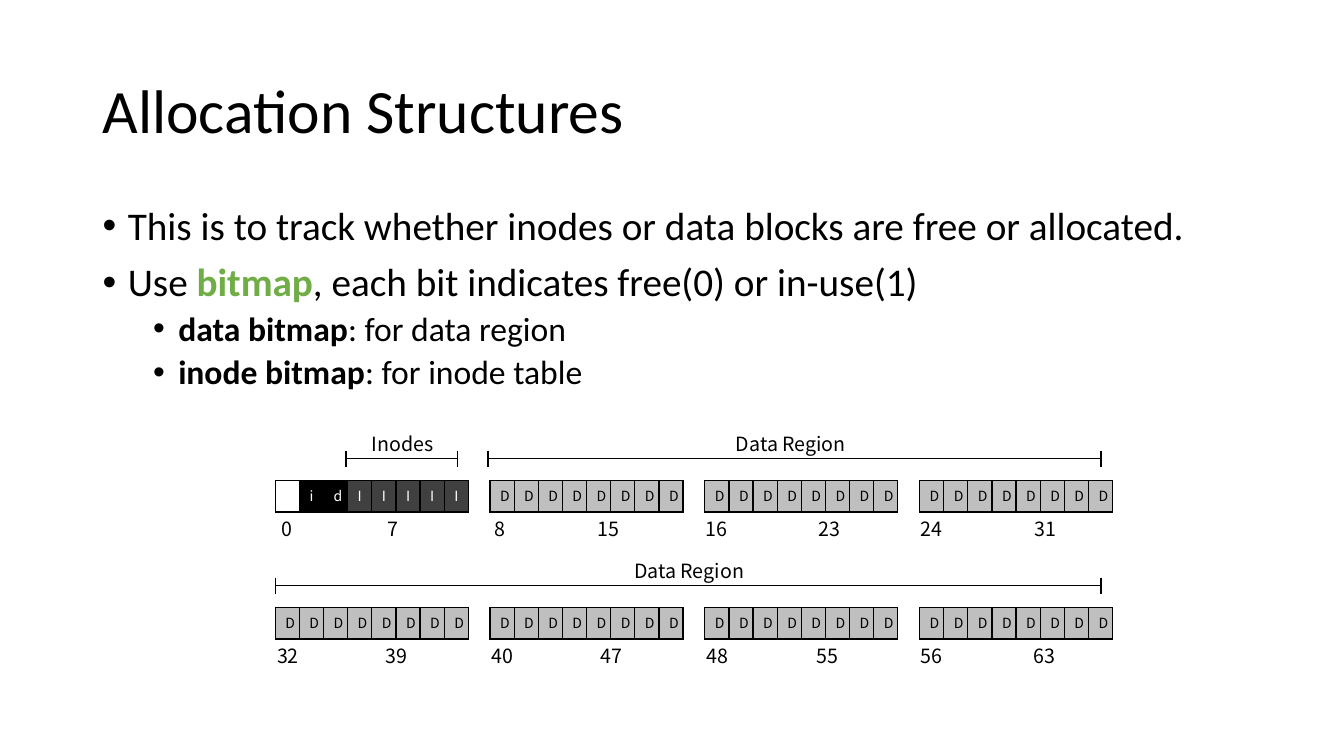
from dataclasses import dataclass

from lxml import etree
from pptx import Presentation
from pptx.dml.color import RGBColor
from pptx.enum.shapes import MSO_CONNECTOR
from pptx.enum.text import MSO_ANCHOR, MSO_AUTO_SIZE, PP_ALIGN
from pptx.oxml.ns import qn
from pptx.slide import Slide
from pptx.table import _Cell
from pptx.text.text import _Paragraph, _Run
from pptx.util import Inches, Pt

BLACK = RGBColor(0x00, 0x00, 0x00)
WHITE = RGBColor(0xFF, 0xFF, 0xFF)
GREEN = RGBColor(0x70, 0xAD, 0x47)
DARK_GRAY = RGBColor(0x40, 0x40, 0x40)
LIGHT_GRAY = RGBColor(0xBF, 0xBF, 0xBF)
STRAIGHT = MSO_CONNECTOR.STRAIGHT
MIDDLE = MSO_ANCHOR.MIDDLE
FIT_TEXT = MSO_AUTO_SIZE.SHAPE_TO_FIT_TEXT
CENTER = PP_ALIGN.CENTER
TEXT_FONT = "Calibri"
DIAGRAM_FONT = "Noto Sans CJK KR"

GROUP_LEFT, GROUP_STEP = 2.73, 2.13
ROW_TOPS = (4.77, 6.03)
GROUPS_PER_ROW = 4
BLOCK_WIDTH, BLOCK_HEIGHT = 0.23, 0.31
TICK_REACH = 0.08
CAPTION_HEIGHT = 0.34
BLOCK_STYLES = {
    " ": (WHITE, BLACK),
    "i": (BLACK, WHITE),
    "d": (BLACK, WHITE),
    "I": (DARK_GRAY, WHITE),
    "D": (LIGHT_GRAY, BLACK),
}
BLOCK_GROUPS = [" idIIIII"] + ["DDDDDDDD"] * 7


@dataclass
class Bullet:
    phrases: list[tuple[str, bool, RGBColor]]
    size: int
    indent: float
    space: int


@dataclass
class RangeLabel:
    left: float
    width: float
    tab: float


@dataclass
class Region:
    name: str
    left: float
    right: float
    top: float
    caption_left: float
    caption_width: float


BULLETS = [
    Bullet([("This is to track whether inodes or data blocks are free or allocated.", False, BLACK)],
           28, 0.25, 10),
    Bullet([("Use ", False, BLACK), ("bitmap", True, GREEN),
            (", each bit indicates free(0) or in-use(1)", False, BLACK)], 28, 0.25, 10),
    Bullet([("data bitmap", True, BLACK), (": for data region", False, BLACK)], 24, 0.75, 5),
    Bullet([("inode bitmap", True, BLACK), (": for inode table", False, BLACK)], 24, 0.75, 5),
]
RANGE_LABELS = [
    RangeLabel(2.69, 1.97, 1.06),
    RangeLabel(4.81, 1.97, 1.02),
    RangeLabel(6.9, 2.06, 1.12),
    RangeLabel(9.03, 2.07, 1.13),
    RangeLabel(2.65, 2.03, 1.08),
    RangeLabel(4.78, 1.99, 1.08),
    RangeLabel(6.91, 2.06, 1.09),
    RangeLabel(9.03, 2.07, 1.12),
]
REGIONS = [
    Region("Inodes", 3.43, 4.54, 4.55, 3.59, 0.84),
    Region("Data Region", 4.84, 10.92, 4.55, 7.2, 1.36),
    Region("Data Region", 2.73, 10.92, 5.81, 6.19, 1.36),
]


def style_run(span: _Run, font: str, size: int, color: RGBColor, bold: bool = False) -> None:
    span.font.name = font
    span.font.size = Pt(size)
    span.font.color.rgb = color
    span.font.bold = bold


def add_title(page: Slide) -> None:
    box = page.shapes.add_textbox(Inches(0.92), Inches(0.4), Inches(11.5), Inches(1.45))
    frame = box.text_frame
    frame.word_wrap = True
    frame.vertical_anchor = MIDDLE
    frame.text = "Allocation Structures"
    para = frame.paragraphs[0]
    para.line_spacing = 0.9
    style_run(para.runs[0], TEXT_FONT, 44, BLACK)


def fill_bullet(para: _Paragraph, bullet: Bullet) -> None:
    para.line_spacing = 0.9
    para.space_before = Pt(bullet.space)
    properties = para._p.get_or_add_pPr()
    properties.set("marL", str(Inches(bullet.indent)))
    properties.set("indent", str(Inches(-0.25)))
    etree.SubElement(properties, qn("a:buFont"), typeface="Arial")
    etree.SubElement(properties, qn("a:buChar"), char="•")
    for text, bold, color in bullet.phrases:
        span = para.add_run()
        span.text = text
        style_run(span, TEXT_FONT, bullet.size, color, bold)


def add_bullets(page: Slide) -> None:
    box = page.shapes.add_textbox(Inches(0.92), Inches(2), Inches(11.5), Inches(4.76))
    frame = box.text_frame
    frame.word_wrap = True
    for index, bullet in enumerate(BULLETS):
        para = frame.add_paragraph() if index else frame.paragraphs[0]
        fill_bullet(para, bullet)


def add_borders(cell: _Cell) -> None:
    properties = cell._tc.get_or_add_tcPr()
    for side in ("lnL", "lnR", "lnT", "lnB"):
        border = etree.SubElement(properties, qn(f"a:{side}"), w=str(Pt(1)))
        fill = etree.SubElement(border, qn("a:solidFill"))
        etree.SubElement(fill, qn("a:srgbClr"), val=str(BLACK))


def add_blocks(page: Slide, letters: str, left: float, top: float) -> None:
    count = len(letters)
    table = page.shapes.add_table(1, count, Inches(left), Inches(top),
                                  Inches(BLOCK_WIDTH * count), Inches(BLOCK_HEIGHT)).table
    table.first_row = False
    table.horz_banding = False
    for column, letter in enumerate(letters):
        table.columns[column].width = Inches(BLOCK_WIDTH)
        cell = table.cell(0, column)
        fill_color, text_color = BLOCK_STYLES[letter]
        add_borders(cell)
        cell.fill.solid()
        cell.fill.fore_color.rgb = fill_color
        cell.text_frame.text = letter.strip()
        para = cell.text_frame.paragraphs[0]
        para.alignment = CENTER
        for span in para.runs:
            style_run(span, DIAGRAM_FONT, 10, text_color)
        if not para.runs:
            etree.SubElement(para._p, qn("a:endParaRPr"), sz="1000")


def add_caption(page: Slide, text: str, left: float, top: float, width: float) -> _Paragraph:
    box = page.shapes.add_textbox(Inches(left), Inches(top), Inches(width), Inches(CAPTION_HEIGHT))
    frame = box.text_frame
    frame.word_wrap = True
    frame.auto_size = FIT_TEXT
    frame.text = text
    para = frame.paragraphs[0]
    style_run(para.runs[0], DIAGRAM_FONT, 14, BLACK)
    return para


def add_range_label(page: Slide, label: RangeLabel, first: int, last: int, top: float) -> None:
    para = add_caption(page, f"{first}\t{last}", label.left, top, label.width)
    tabs = etree.SubElement(para._p.get_or_add_pPr(), qn("a:tabLst"))
    etree.SubElement(tabs, qn("a:tab"), pos=str(Inches(label.tab)), algn="l")


def add_line(page: Slide, x1: float, y1: float, x2: float, y2: float) -> None:
    line = page.shapes.add_connector(STRAIGHT, Inches(x1), Inches(y1), Inches(x2), Inches(y2))
    line.line.color.rgb = BLACK
    line.line.width = Pt(1)
    etree.SubElement(line._element.spPr, qn("a:effectLst"))


def add_region(page: Slide, region: Region) -> None:
    add_line(page, region.left, region.top, region.right, region.top)
    for x in (region.left, region.right):
        add_line(page, x, region.top - TICK_REACH, x, region.top + TICK_REACH)
    add_caption(page, region.name, region.caption_left, region.top - 0.31, region.caption_width)


def main() -> None:
    deck = Presentation()
    deck.slide_width, deck.slide_height = Inches(13.33), Inches(7.5)
    page = deck.slides.add_slide(deck.slide_layouts[6])
    add_title(page)
    add_bullets(page)
    first = 0
    for index, (letters, label) in enumerate(zip(BLOCK_GROUPS, RANGE_LABELS)):
        row, column = divmod(index, GROUPS_PER_ROW)
        top = ROW_TOPS[row]
        add_blocks(page, letters, GROUP_LEFT + column * GROUP_STEP, top)
        add_range_label(page, label, first, first + len(letters) - 1, top + BLOCK_HEIGHT)
        first += len(letters)
    for region in REGIONS:
        add_region(page, region)
    deck.save("out.pptx")


if __name__ == "__main__":
    main()
